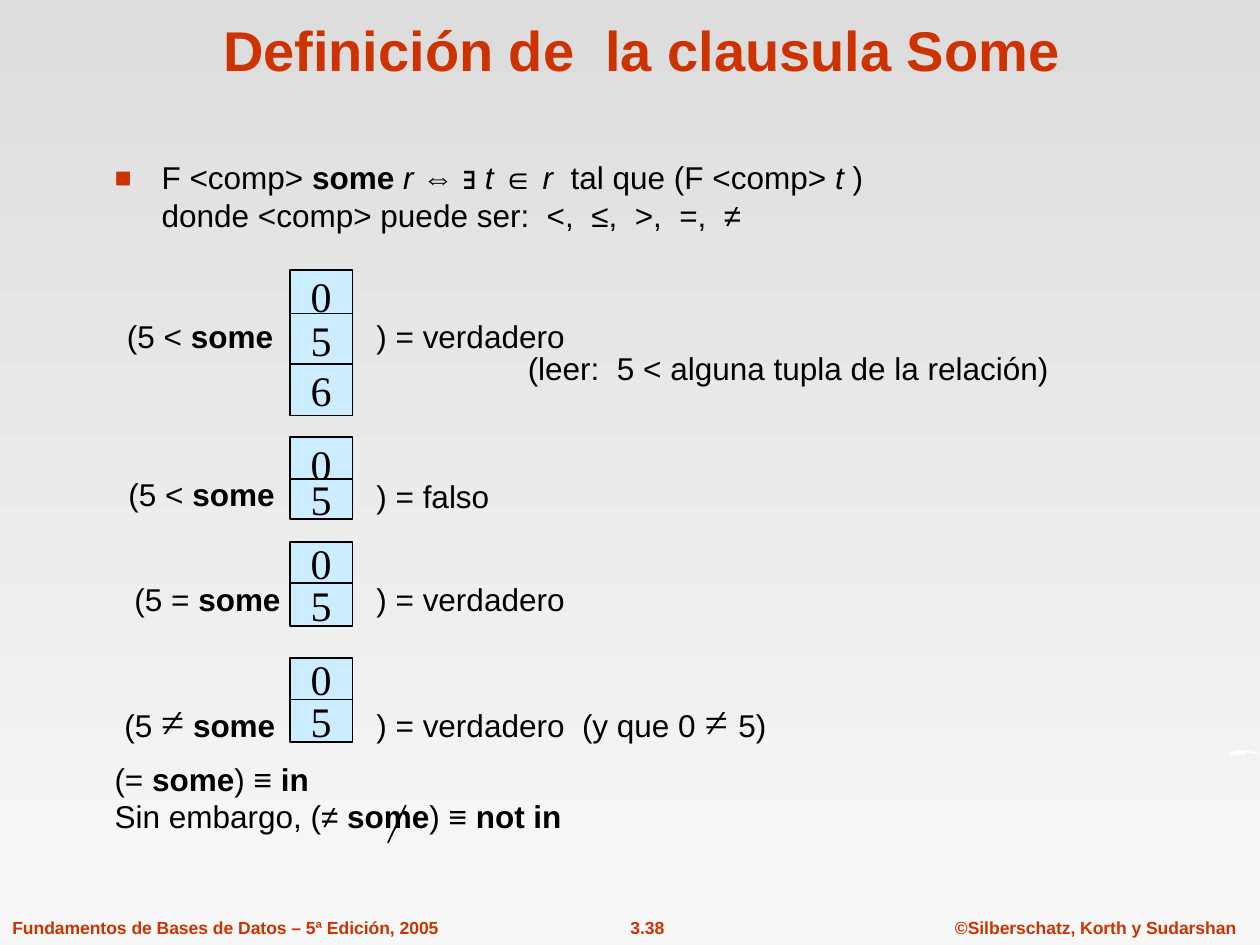
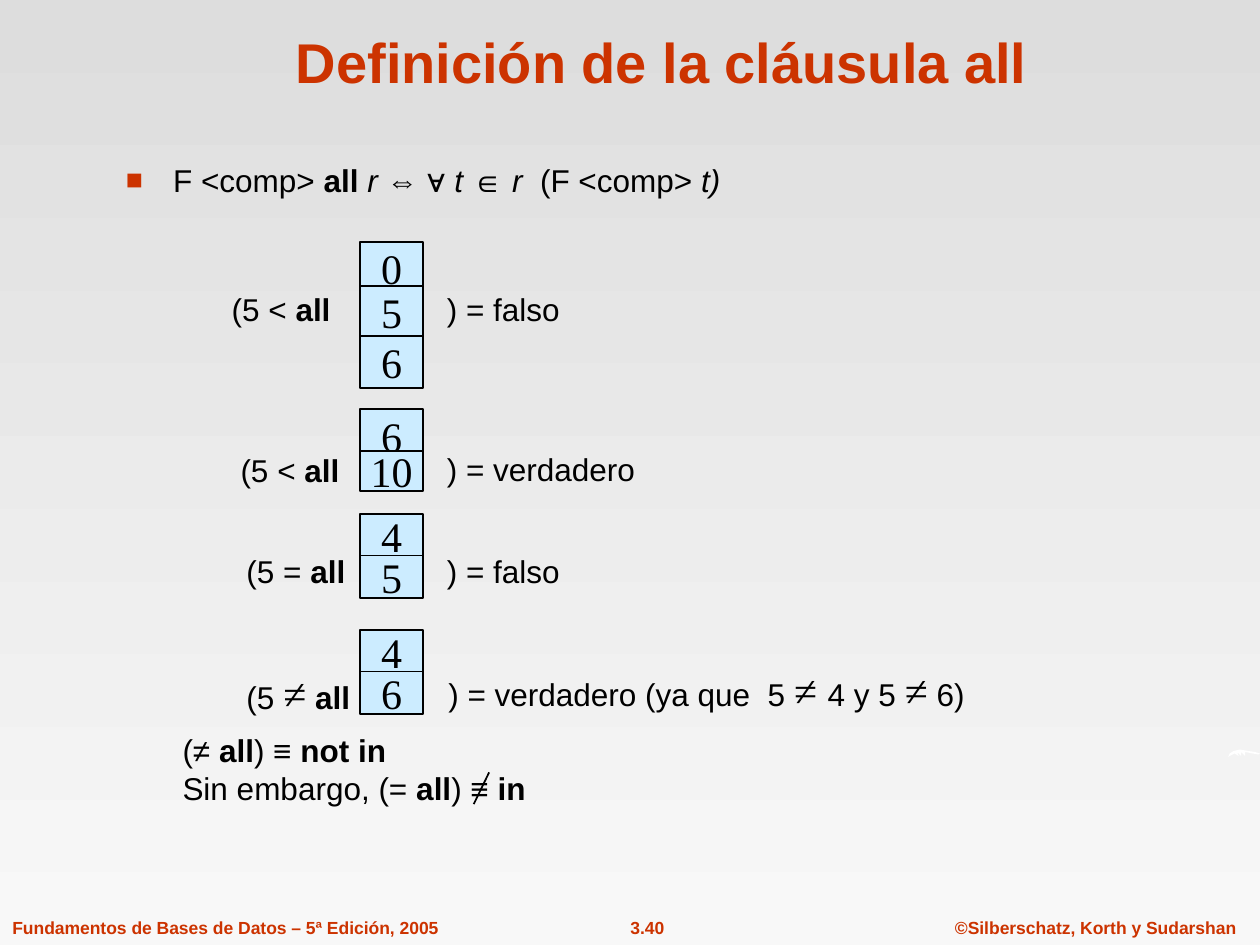
import pptx
import pptx.dml.color
import pptx.enum.shapes
import pptx.enum.text
import pptx.oxml
import pptx.oxml.ns
import pptx.util

Cm = pptx.util.Cm
Pt = pptx.util.Pt
ALIGN = pptx.enum.text.PP_ALIGN
ANCHOR = pptx.enum.text.MSO_ANCHOR
SHAPE = pptx.enum.shapes.MSO_SHAPE

COLORS = {"brand": "CC3300", "ink": "000000", "cell": "CCECFF",
          "top": "DDDDDD", "base": "F8F8F8", "white": "FFFFFF"}
SANS, SERIF = "Arial", "Times New Roman"
NOT_EQ = ("≠", "s")

# Top and height of the cells in each of the four relations
STACKS = [[(5.44, 1.04), (6.32, 1.04), (7.34, 1.04)],
          [(8.81, 1.07), (9.65, 0.81)],
          [(10.92, 0.86), (11.76, 0.86)],
          [(13.26, 0.86), (14.1, 0.86)]]

# Outline of the white swoosh at the right edge, in hundredths of a cm
SWOOSH = [(2476, 1526), (2479, 1519), (2487, 1514), (2499, 1511),
          (2517, 1514), (2530, 1516), (2540, 1519), (2537, 1521),
          (2525, 1519), (2510, 1516), (2510, 1524), (2502, 1516),
          (2502, 1524), (2494, 1516), (2497, 1524), (2489, 1519),
          (2479, 1524)]


def rgb(name):
    return pptx.dml.color.RGBColor.from_string(COLORS[name])


def style(run, size, color="ink", face=SANS, bold=False, slant=False):
    font = run.font
    font.size, font.name = Pt(size), face
    font.bold, font.italic = bold, slant
    font.color.rgb = rgb(color)


def write(para, parts):
    """Parts are (text, marks): b bold, i italic, s large serif sign."""
    for text, marks in parts:
        if text == "\n":
            para.add_line_break()
            continue
        run = para.add_run()
        run.text = text
        big = "s" in marks
        style(run, 24 if big else 18, face=SERIF if big else SANS,
              bold="b" in marks, slant="i" in marks)


def add_box(slide, left, top, width, height, wrap=True):
    box = slide.shapes.add_textbox(Cm(left), Cm(top), Cm(width), Cm(height))
    box.text_frame.word_wrap = wrap
    return box.text_frame


def add_rich(slide, left, top, width, height, *lines):
    frame = add_box(slide, left, top, width, height)
    for i, parts in enumerate(lines):
        write(frame.add_paragraph() if i else frame.paragraphs[0], parts)
    return frame


def add_label(slide, left, top, width, text, size, align, height, wrap):
    frame = add_box(slide, left, top, width, height, wrap)
    frame.text = text
    para = frame.paragraphs[0]
    para.alignment = align
    style(para.runs[0], size, "brand", bold=True)
    return frame


def add_title(slide, left, top, text):
    frame = add_label(slide, left, top, 22.43, text, 32, ALIGN.CENTER, 1.7, True)
    frame.vertical_anchor = ANCHOR.BOTTOM


def add_bullet(slide, left, top, width, height, parts):
    frame = add_box(slide, left, top, width, height)
    para = frame.paragraphs[0]
    props = para._p.get_or_add_pPr()
    props.set("marL", str(Cm(0.95)))
    props.set("indent", str(-Cm(0.95)))
    space = pptx.oxml.ns.nsdecls("a")
    for mark in (f'<a:buClr {space}><a:srgbClr val="{COLORS["brand"]}"/></a:buClr>',
                 f'<a:buSzPct {space} val="90000"/>',
                 f'<a:buFont {space} typeface="{SANS}"/>',
                 f'<a:buChar {space} char="■"/>'):
        props.append(pptx.oxml.parse_xml(mark))
    write(para, parts)


def add_cell(slide, left, top, height, value):
    cell = slide.shapes.add_shape(SHAPE.RECTANGLE, Cm(left), Cm(top),
                                  Cm(1.27), Cm(height))
    cell.shadow.inherit = False
    cell.fill.solid()
    cell.fill.fore_color.rgb = rgb("cell")
    cell.line.color.rgb = rgb("ink")
    cell.line.width = Pt(1)
    frame = cell.text_frame
    frame.word_wrap = False
    frame.vertical_anchor = ANCHOR.MIDDLE
    frame.text = value
    frame.paragraphs[0].alignment = ALIGN.CENTER
    style(frame.paragraphs[0].runs[0], 24, face=SERIF)


def add_stacks(slide, left, shift, groups):
    for stack, values in zip(STACKS, groups):
        for (top, height), value in zip(stack, values):
            add_cell(slide, left, top + shift, height, value)


def add_stroke(slide, *ends):
    line = slide.shapes.add_connector(pptx.enum.shapes.MSO_CONNECTOR.STRAIGHT,
                                      *map(Cm, ends))
    line.line.color.rgb = rgb("ink")
    line.line.width = Pt(1)
    line._element.spPr.append(pptx.oxml.parse_xml(
        f'<a:effectLst {pptx.oxml.ns.nsdecls("a")}/>'))


def add_swoosh(slide):
    pen = slide.shapes.build_freeform(*SWOOSH[0], scale=Cm(0.01))
    pen.add_line_segments(SWOOSH[1:], close=True)
    shape = pen.convert_to_shape()
    shape.shadow.inherit = False
    shape.fill.solid()
    shape.fill.fore_color.rgb = rgb("white")
    shape.line.fill.background()


def add_slide(deck, number):
    """Blank slide with the shared backdrop and footer."""
    slide = deck.slides.add_slide(deck.slide_layouts[6])
    fill = slide.background.fill
    fill.gradient()
    fill.gradient_angle = 270
    for stop, name in zip(fill.gradient_stops, ("top", "base")):
        stop.color.rgb = rgb(name)
    add_swoosh(slide)
    for left, width, text, align in (
            (0, 9.09, "Fundamentos de Bases de Datos – 5ª Edición, 2005", ALIGN.LEFT),
            (12.34, 1.42, number, ALIGN.CENTER),
            (19, 6.17, "©Silberschatz, Korth y Sudarshan", ALIGN.CENTER)):
        add_label(slide, left, 18.36, width, text, 10, align, 0.69, False)
    return slide


def add_tests(slide, word, tests):
    """Left half '(5 op word' of each comparison."""
    for left, top, width, sign in tests:
        signs = [NOT_EQ, (" ", "")] if sign == "≠" else [(sign + " ", "")]
        add_rich(slide, left, top, width, 1.02,
                 [("(5 ", ""), *signs, (word, "b")])


def add_results(slide, results):
    for left, top, width, parts in results:
        add_rich(slide, left, top, width, 1.02, [(") = ", ""), *parts])


def some_slide(deck):
    slide = add_slide(deck, "3.38")
    add_title(slide, 1.73, 0.1, "Definición de  la clausula Some")
    add_bullet(slide, 2.06, 3.07, 18.9, 1.98, [
        ("F <comp> ", ""), ("some ", "b"), ("r ", "i"), ("⇔ ∃ ", ""),
        ("t ", "i"), ("∈", ""), (" r  ", "i"), ("tal que (F <comp> ", ""),
        ("t ", "i"), (")", ""), ("\n", ""),
        ("donde <comp> puede ser:  <,  ≤,  >,  =,  ≠", "")])
    # Comparisons
    add_stacks(slide, 5.84, 0, ["056", "05", "05", "05"])
    add_tests(slide, "some", [(2.31, 6.27, 3.76, "<"), (2.34, 9.45, 3.84, "<"),
                              (2.46, 11.56, 4.24, "="), (2.26, 13.89, 4.01, "≠")])
    true = ("verdadero", "")
    add_results(slide, [
        (7.34, 6.27, 7.44, [true]),
        (7.34, 9.5, 3.38, [("falso", "")]),
        (7.34, 11.56, 4.34, [true]),
        (7.34, 13.89, 9.25, [true, ("  (y que 0 ", ""), ("≠ ", "s"), ("5)", "")])])
    add_rich(slide, 10.39, 6.91, 13.54, 1.02,
             [("(leer:  5 < alguna tupla de la relación)", "")])
    # Equivalences
    add_rich(slide, 2.06, 15.19, 18.9, 1.98,
             [("(= ", ""), ("some", "b"), (") ≡ ", ""), ("in", "b")],
             [("Sin embargo, (≠ ", ""), ("some", "b"), (") ≡ ", ""), ("not in", "b")])
    add_stroke(slide, 8.18, 16.23, 7.82, 16.99)


def all_slide(deck):
    slide = add_slide(deck, "3.40")
    add_title(slide, 2.13, 0.33, "Definición de la cláusula all")
    add_bullet(slide, 2.29, 3.12, 18.44, 1.07, [
        ("F <comp> ", ""), ("all ", "b"), ("r ", "i"), ("⇔ ∀ ", ""),
        ("t ", "i"), ("∈", ""), (" r ", "i"), (" (F <comp> ", ""), ("t)", "i")])
    # Comparisons
    add_stacks(slide, 7.26, -0.56, ["056", ("6", "10"), "45", "46"])
    add_tests(slide, "all", [(4.42, 5.72, 3.38, "<"), (4.6, 8.97, 3.38, "<"),
                             (4.72, 11, 3.38, "="), (4.72, 13.34, 4.65, "≠")])
    true, false = ("verdadero", ""), ("falso", "")
    add_results(slide, [
        (8.76, 5.72, 3.38, [false]),
        (8.76, 8.94, 5.89, [true]),
        (8.76, 11, 3.38, [false]),
        (8.79, 13.28, 12.7, [true, (" (ya que  5 ", ""), ("≠ ", "s"),
                             ("4 y 5 ", ""), NOT_EQ, (" 6)", "")])])
    # Equivalences
    add_rich(slide, 3.43, 14.61, 18.9, 1.98,
             [("(≠ ", ""), ("all", "b"), (") ≡ ", ""), ("not in", "b")],
             [("Sin embargo, (= ", ""), ("all", "b"), (") ≡ ", ""), ("in", "b")])
    add_stroke(slide, 9.86, 15.57, 9.55, 16.21)


def main():
    deck = pptx.Presentation()
    deck.slide_width, deck.slide_height = Cm(25.4), Cm(19.05)
    some_slide(deck)
    all_slide(deck)
    deck.save("out.pptx")


if __name__ == "__main__":
    main()
